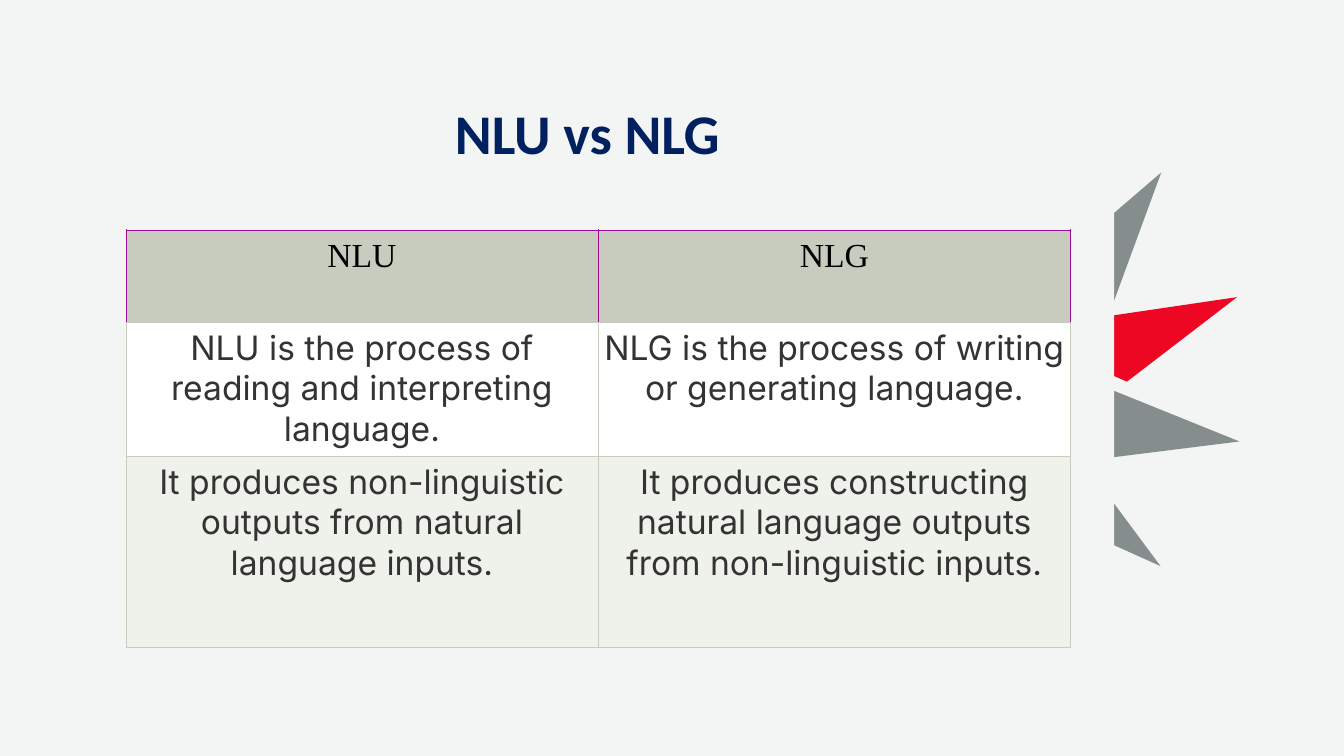
"""Build the slide that sets NLU beside NLG in a table, with a burst of rays."""
from dataclasses import dataclass

from pptx import Presentation
from pptx.dml.color import RGBColor
from pptx.enum import shapes, text
from pptx.oxml import parse_xml
from pptx.oxml.ns import nsdecls
from pptx.util import Inches, Pt


@dataclass(frozen=True)
class Theme:
    """Colours, fonts and type sizes."""
    page: str = "F3F5F5"
    navy: str = "002060"
    ink: str = "333333"
    black: str = "000000"
    head: str = "C7CCBE"
    edge: str = "A00B97"
    white: str = "FFFFFF"
    tint: str = "EFF1EB"
    gray: str = "868D8D"
    red: str = "ED0722"
    title: int = 40
    body: int = 24


T = Theme()
TITLE = "NLU vs NLG"
ROWS = [
    ("NLU", "NLG"),
    ("NLU is the process of reading and interpreting language.",
     "NLG is the process of writing or generating language."),
    ("It produces non-linguistic outputs from natural language inputs.",
     "It produces constructing natural language outputs from non-linguistic inputs."),
]
HEIGHTS = [0.92, 1.33, 1.89]
WIDTHS = [4.68, 4.69]
FILLS = [T.head, T.white, T.tint]
LEFT, TOP = 1.25, 2.28
RAY = (2.27, 0.67)
RAYS = [
    (10.06, 3.11, 171.6, T.red),
    (9.43, 4.57, 233.4, T.gray),
    (9.98, 3.93, 202, T.gray),
    (9.74, 2.37, 139.3, T.gray),
]
PANELS = [(1.12, 2.11, 9.89, 4.68), (10.63, 2.11, 0.42, 4.68)]


def paint(fill, color):
    """Give a fill one solid colour."""
    fill.solid()
    fill.fore_color.rgb = RGBColor.from_string(color)


def write(frame, words, size=T.body, font="Inter", color=T.ink, bold=False, space=1.0):
    """Put one centred, formatted paragraph in a text frame."""
    frame.word_wrap = True
    para = frame.paragraphs[0]
    para.alignment = text.PP_ALIGN.CENTER
    para.line_spacing = space
    run = para.add_run()
    run.text = words
    run.font.size, run.font.name, run.font.bold = Pt(size), font, bold
    run.font.color.rgb = RGBColor.from_string(color)


def border(cell, sides):
    """Draw thin cell borders from a map of side to colour."""
    props = cell._tc.get_or_add_tcPr()
    for spot, side in enumerate("LRTB"):
        props.insert(spot, parse_xml(
            f'<a:ln{side} {nsdecls("a")} w="{Pt(0.5)}"><a:solidFill>'
            f'<a:srgbClr val="{sides[side]}"/></a:solidFill></a:ln{side}>'))


def add_form(slide, kind, box, color):
    """Add a plain filled shape with no outline."""
    form = slide.shapes.add_shape(kind, *[Inches(n) for n in box])
    form.shadow.inherit = False
    paint(form.fill, color)
    form.line.fill.background()
    return form


def add_burst(slide):
    """Add the rays and the panels that trim them."""
    for x, y, turn, color in RAYS:
        ray = add_form(slide, shapes.MSO_SHAPE.ISOSCELES_TRIANGLE, (x, y, *RAY), color)
        ray.adjustments[0] = 0.53
        ray.rotation = turn
    for box in PANELS:
        add_form(slide, shapes.MSO_SHAPE.RECTANGLE, box, T.page)


def add_grid(slide):
    """Add the comparison table."""
    box = [Inches(n) for n in (LEFT, TOP, sum(WIDTHS), sum(HEIGHTS))]
    grid = slide.shapes.add_table(len(ROWS), len(WIDTHS), *box).table
    grid.horz_banding = False
    for col, wide in zip(grid.columns, WIDTHS):
        col.width = Inches(wide)
    for r, (row, words) in enumerate(zip(grid.rows, ROWS)):
        row.height = Inches(HEIGHTS[r])
        head = r == 0
        look = {"font": "Times New Roman", "color": T.black} if head else {}
        edge = T.edge if head else T.head
        pad = Inches(0.08 if head else 0.05)
        for cell, word in zip(row.cells, words):
            cell.margin_left = cell.margin_right = pad
            cell.margin_top = cell.margin_bottom = pad
            paint(cell.fill, FILLS[r])
            border(cell, {"L": edge, "R": edge, "T": edge, "B": T.head})
            write(cell.text_frame, word, **look)


def main():
    """Build and save the slide."""
    deck = Presentation()
    deck.slide_width, deck.slide_height = Inches(13.33), Inches(7.5)
    slide = deck.slides.add_slide(deck.slide_layouts[5])
    paint(slide.background.fill, T.page)
    add_burst(slide)
    title = slide.shapes.title
    title.left, title.top = Inches(0.87), Inches(0.86)
    title.width, title.height = Inches(9.91), Inches(0.99)
    title.text_frame.vertical_anchor = text.MSO_ANCHOR.MIDDLE
    write(title.text_frame, TITLE, size=T.title, font="Calibri",
          color=T.navy, bold=True, space=0.9)
    add_grid(slide)
    deck.save("out.pptx")


if __name__ == "__main__":
    main()
